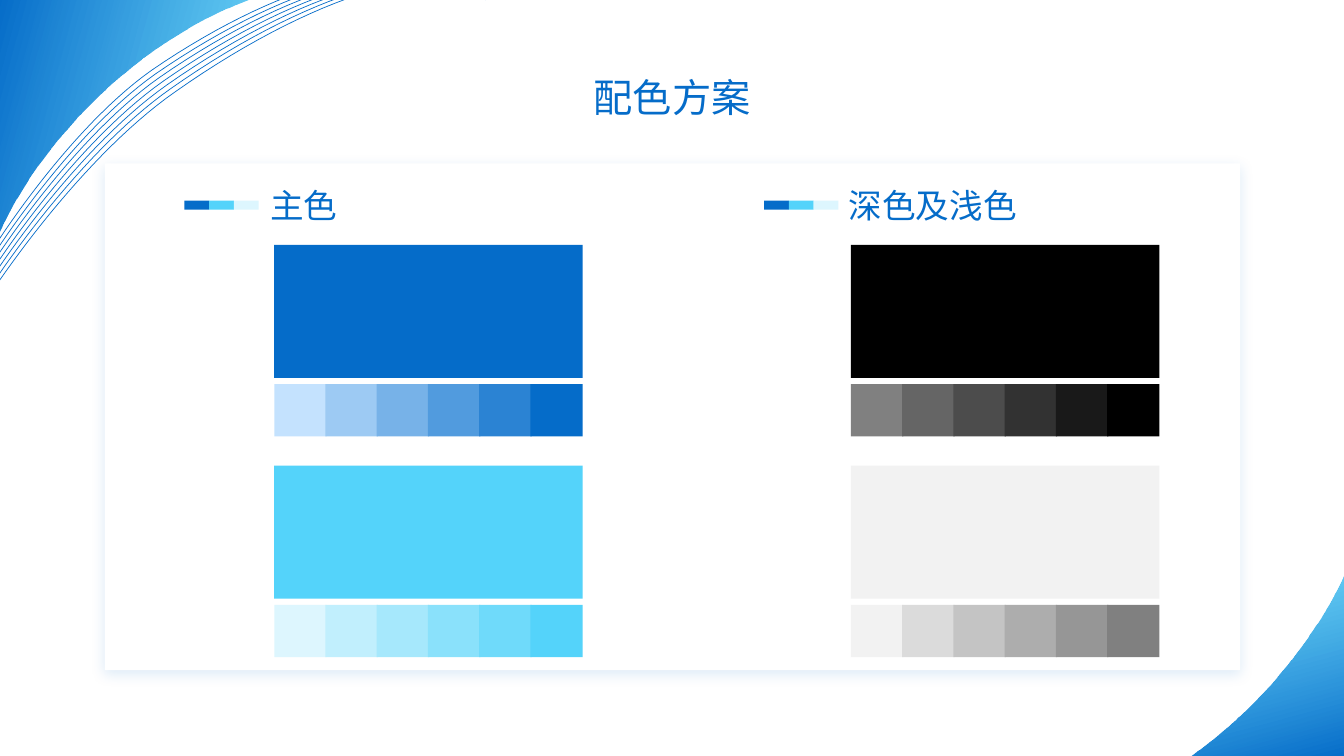
from lxml import etree
from pptx import Presentation
from pptx.dml.color import RGBColor
from pptx.enum.shapes import MSO_SHAPE
from pptx.enum.text import MSO_AUTO_SIZE, PP_ALIGN
from pptx.oxml.ns import qn
from pptx.util import Inches, Pt

RECT = MSO_SHAPE.RECTANGLE
GROW = MSO_AUTO_SIZE.SHAPE_TO_FIT_TEXT
LEFT, CENTER = PP_ALIGN.LEFT, PP_ALIGN.CENTER
FONT = "Noto Sans CJK SC"
BLUE, CYAN, PALE, WHITE = "056CC9", "54D3FA", "DDF6FE", "FFFFFF"

# Each arc is two joined cubic curves: 7 points
INNER = [(-0.45, 3.12), (-0.16, 2.53), (0.67, 1.29), (1.5, 0.7),
         (2.78, -0.18), (4.04, -0.51), (4.37, -0.05)]
OUTER = [(-0.45, 3.5), (-0.12, 2.87), (0.82, 1.55), (1.74, 0.91),
         (3.13, -0.07), (4.48, -0.47), (4.82, 0)]
ARCS = 7
TOP_ARC = [(2.32, 0.06), (1.89, 0.24), (1.44, 0.53), (1.02, 0.92),
           (0.54, 1.38), (0.18, 1.88), (-0.02, 2.36)]
LOW_ARC = [(11.83, 7.48), (12.07, 7.31), (12.31, 7.1), (12.54, 6.86),
           (12.86, 6.51), (13.12, 6.14), (13.3, 5.78)]

# Heading, marker left, heading left, swatch left, (main colour, tints) pairs
PANELS = [
    ("主色", 1.83, 2.58, 2.72, [
        (BLUE, ["C4E2FE", "9DCAF3", "77B2E8", "519BDE", "2B83D3", BLUE]),
        (CYAN, [PALE, "C1EFFD", "A6E8FC", "8AE1FB", "6FDAFA", CYAN])]),
    ("深色及浅色", 7.58, 8.32, 8.44, [
        ("000000", ["808080", "656565", "4C4C4C", "323232", "191919", "000000"]),
        ("F2F2F2", ["F2F2F2", "DBDBDB", "C4C4C4", "ADADAD", "969696", "808080"])]),
]


def rgb(code):
    return RGBColor.from_string(code)


def add_rect(slide, left, top, width, height, color):
    rect = slide.shapes.add_shape(RECT, *map(Inches, (left, top, width, height)))
    rect.shadow.inherit = False
    rect.fill.solid()
    rect.fill.fore_color.rgb = rgb(color)
    rect.line.fill.background()
    return rect


def add_text(slide, text, left, top, width, height, size, align=LEFT):
    box = slide.shapes.add_textbox(*map(Inches, (left, top, width, height)))
    frame = box.text_frame
    frame.word_wrap = True
    frame.auto_size = GROW
    para = frame.paragraphs[0]
    para.alignment = align
    run = para.add_run()
    run.text = text
    for name, value in {"size": Pt(size), "name": FONT}.items():
        setattr(run.font, name, value)
    run.font.color.rgb = rgb(BLUE)
    east = etree.SubElement(run.font._element, qn("a:ea"))
    east.set("typeface", FONT)


def trace(points, steps=30):
    """Return points along the joined cubic curves."""
    path = [points[0]]
    for first in range(0, len(points) - 1, 3):
        knots = points[first:first + 4]
        for step in range(1, steps + 1):
            t = step / steps
            parts = ((1 - t) ** 3, 3 * t * (1 - t) ** 2, 3 * t * t * (1 - t), t ** 3)
            path.append(tuple(sum(p * k[axis] for p, k in zip(parts, knots))
                              for axis in (0, 1)))
    return path


def add_path(slide, points, close):
    spots = [(Inches(x), Inches(y)) for x, y in points]
    pen = slide.shapes.build_freeform(*spots[0])
    pen.add_line_segments(spots[1:], close=close)
    shape = pen.convert_to_shape()
    shape.shadow.inherit = False
    return shape


def add_arcs(slide):
    """Draw thin arcs evenly spaced from INNER to OUTER."""
    for index in range(ARCS):
        part = index / (ARCS - 1)
        knots = [(a + (c - a) * part, b + (d - b) * part)
                 for (a, b), (c, d) in zip(INNER, OUTER)]
        arc = add_path(slide, trace(knots), False)
        arc.fill.background()
        arc.line.color.rgb = rgb(BLUE)
        arc.line.width = Pt(0.5)


def add_corner(slide, points, angle):
    """Fill a corner with a blue gradient; angle is counter-clockwise."""
    corner = add_path(slide, points, True)
    corner.line.fill.background()
    corner.fill.gradient()
    corner.fill.gradient_angle = angle
    for stop, color in zip(corner.fill.gradient_stops, (BLUE, CYAN)):
        stop.color.rgb = rgb(color)
    tone = list(corner._element.spPr.iter(qn("a:srgbClr")))[-1]
    etree.SubElement(tone, qn("a:alpha")).set("val", "82000")


def add_card(slide):
    card = add_rect(slide, 1.04, 1.62, 11.26, 5.03, WHITE)
    effects = card._element.spPr.find(qn("a:effectLst"))
    shade = etree.SubElement(effects, qn("a:outerShdw"))
    form = {"blurRad": Pt(10), "dist": Pt(3), "dir": 90 * 60000,
            "algn": "t", "rotWithShape": 0}
    for name, value in form.items():
        shade.set(name, str(value))
    tone = etree.SubElement(shade, qn("a:srgbClr"), val=BLUE)
    etree.SubElement(tone, qn("a:alpha")).set("val", "12000")


def add_panel(slide, title, mark, head, left, rows):
    width, side = 3.06, 0.52
    for row, (main_tone, tints) in enumerate(rows):
        top = 2.43 + 2.19 * row
        add_rect(slide, left, top, width, 1.32, main_tone)
        step = (width - side) / (len(tints) - 1)
        for index, tint in enumerate(tints):
            add_rect(slide, left + step * index, top + 1.38, side, side, tint)
    for index, color in enumerate((BLUE, CYAN, PALE)):
        add_rect(slide, mark + 0.245 * index, 1.99, 0.245, 0.09, color)
    add_text(slide, title, head, 1.79, 2.34, 0.5, 24)


def main():
    deck = Presentation()
    deck.slide_width, deck.slide_height = Inches(13.33), Inches(7.5)
    slide = deck.slides.add_slide(deck.slide_layouts[6])
    add_arcs(slide)
    add_corner(slide, [(-0.03, 0), (2.47, 0), *trace(TOP_ARC), (-0.03, 2.37)], 345)
    add_corner(slide, [(13.33, 7.53), (11.77, 7.53), *trace(LOW_ARC), (13.33, 5.71)], 105)
    add_card(slide)
    add_text(slide, "配色方案", 3.87, 0.68, 5.59, 0.57, 28, CENTER)
    for panel in PANELS:
        add_panel(slide, *panel)
    deck.save("out.pptx")


if __name__ == "__main__":
    main()
